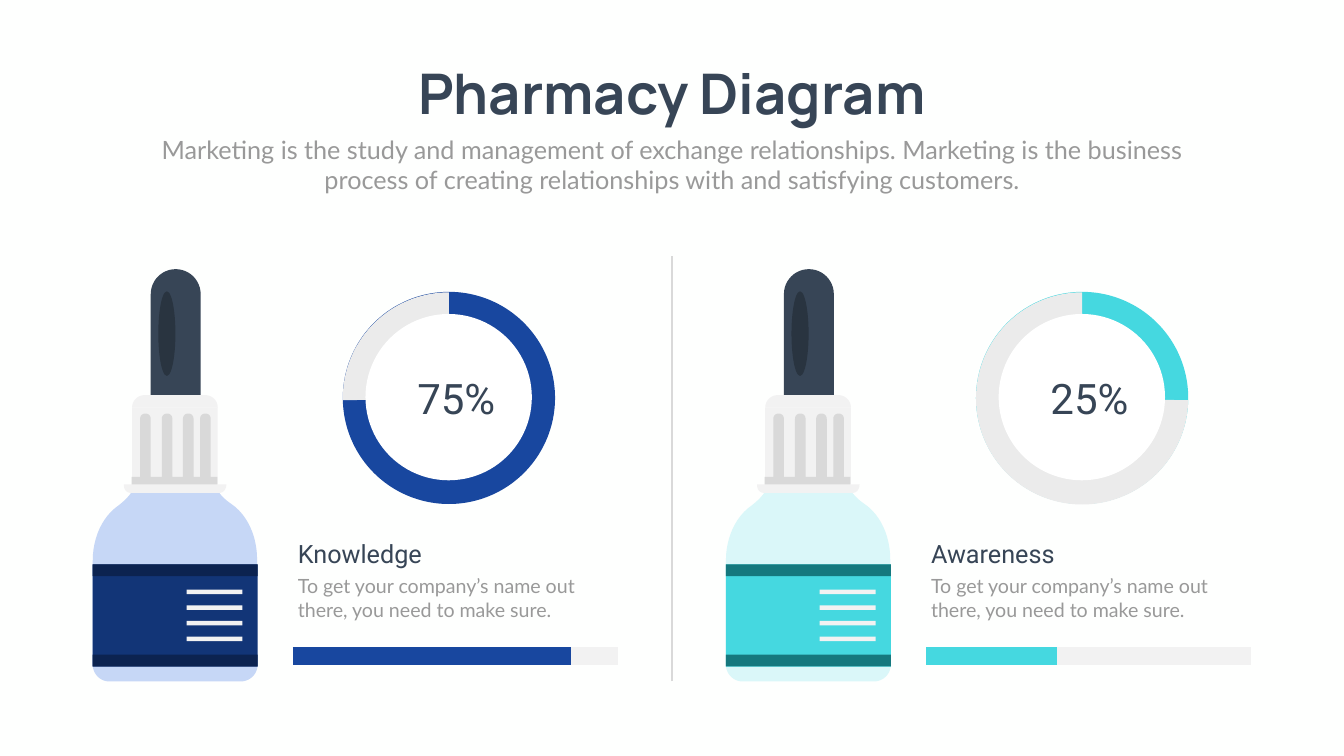
from dataclasses import dataclass

from pptx import Presentation
from pptx.dml.color import RGBColor
from pptx.enum.shapes import MSO_CONNECTOR, MSO_SHAPE
from pptx.enum.text import MSO_AUTO_SIZE, PP_ALIGN
from pptx.oxml.xmlchemy import OxmlElement
from pptx.util import Emu, Pt

PX = 9144  # EMU per px, 100 px to the inch
CURVE_STEPS = 12


@dataclass(frozen=True)
class Theme:
    background: str = "FEFFFE"
    white: str = "FFFFFF"
    ink: str = "374556"
    ink_shade: str = "293440"
    muted: str = "999999"
    pale: str = "F2F2F2"
    track: str = "EBEBEB"
    rule: str = "D9D9D9"
    title_font: str = "Manrope"
    label_font: str = "Roboto"
    body_font: str = "Lato"
    title_size: int = 80
    percent_size: int = 60
    heading_size: int = 36
    body_size: int = 28
    rule_width: int = 2
    bar_width: int = 25


@dataclass(frozen=True)
class Panel:
    left: int
    percent: str
    heading: str
    rest_angle: int  # where the unfilled part of the ring begins, in degrees
    bar_length: int
    accent: str
    glass: str
    label: str
    band: str


class SlideBuilder:
    def __init__(self, slide, theme):
        self.slide = slide
        self.theme = theme
        self.left = 0  # offset of the current panel
        background = slide.background.fill
        background.solid()
        background.fore_color.rgb = RGBColor.from_string(theme.background)

    def paint(self, shape, color):
        shape.shadow.inherit = False
        shape.fill.solid()
        shape.fill.fore_color.rgb = RGBColor.from_string(color)
        shape.line.fill.background()

    def preset(self, kind, x, y, width, height, color, adjustments=()):
        box = [Emu(v * PX) for v in (x + self.left, y, width, height)]
        shape = self.slide.shapes.add_shape(kind, *box)
        for index, value in enumerate(adjustments):
            shape.adjustments[index] = value
        self.paint(shape, color)

    def outline(self, steps, color):
        """Draw a closed outline; pairs are corners, sixes are cubic curves."""
        points = [steps[0]]
        for step in steps[1:]:
            if len(step) == 2:
                points.append(step)
                continue
            x0, y0 = points[-1]
            x1, y1, x2, y2, x3, y3 = step
            for i in range(1, CURVE_STEPS + 1):
                t = i / CURVE_STEPS
                a, b, c, d = (1 - t) ** 3, 3 * t * (1 - t) ** 2, 3 * t * t * (1 - t), t ** 3
                points.append((a * x0 + b * x1 + c * x2 + d * x3,
                               a * y0 + b * y1 + c * y2 + d * y3))
        emu = [(round((x + self.left) * PX), round(y * PX)) for x, y in points]
        builder = self.slide.shapes.build_freeform(*emu[0], scale=1.0)
        builder.add_line_segments(emu[1:], close=True)
        self.paint(builder.convert_to_shape(), color)

    def line(self, x1, y1, x2, y2, color, width):
        ends = [Emu(v * PX) for v in (x1 + self.left, y1, x2 + self.left, y2)]
        connector = self.slide.shapes.add_connector(MSO_CONNECTOR.STRAIGHT, *ends)
        connector.line.color.rgb = RGBColor.from_string(color)
        connector.line.width = Pt(width)
        connector._element.spPr.append(OxmlElement("a:effectLst"))

    def text(self, words, x, y, width, height, *, font, size, color,
             align=PP_ALIGN.LEFT, bold=False, wrap=True):
        box = [Emu(v * PX) for v in (x + self.left, y, width, height)]
        frame = self.slide.shapes.add_textbox(*box).text_frame
        frame.word_wrap = wrap
        frame.auto_size = MSO_AUTO_SIZE.SHAPE_TO_FIT_TEXT
        paragraph = frame.paragraphs[0]
        paragraph.alignment = align
        run = paragraph.add_run()
        run.text = words
        run.font.name = font
        run.font.size = Pt(size)
        run.font.bold = bold
        run.font.color.rgb = RGBColor.from_string(color)

    def bottle(self, panel):
        theme = self.theme
        # Glass body and rounded base
        self.outline([(510, 1110), (510, 1322), (184, 1322), (184, 1112),
                      (184, 1067, 203, 1025, 235, 1003), (244, 996, 253, 988, 260, 978),
                      (435, 978), (442, 987, 450, 994, 459, 1000),
                      (491, 1022, 510, 1064, 510, 1110)], panel.glass)
        self.outline([(184, 1322), (186, 1339, 200, 1352, 216, 1352), (478, 1352),
                      (495, 1352, 509, 1339, 511, 1322)], panel.glass)
        # Cap with its grooves
        self.preset(MSO_SHAPE.RECTANGLE, 262, 809, 170, 152, theme.pale)
        grooves = [(261, 946)]
        for x in (278, 321, 363, 397):
            grooves += [(x, 946), (x, 831), (x, 817, x + 21, 817, x + 21, 831), (x + 21, 946)]
        self.outline(grooves + [(431, 946), (431, 962), (261, 962)], theme.rule)
        # Rubber bulb, cap shoulder and lip
        self.preset(MSO_SHAPE.ROUND_2_SAME_RECTANGLE, 299, 534, 99, 251, theme.ink, (0.5, 0))
        self.outline([(432, 809), (432, 795, 421, 784, 407, 784), (287, 784),
                      (273, 784, 262, 795, 262, 809)], theme.pale)
        self.preset(MSO_SHAPE.OVAL, 314, 578, 34, 168, theme.ink_shade)
        self.outline([(246, 961), (245, 970, 250, 978, 260, 978), (435, 978),
                      (443, 978, 449, 971, 449, 961)], theme.pale)
        # Label with bands and writing
        self.preset(MSO_SHAPE.RECTANGLE, 184, 1120, 327, 203, panel.label)
        for y in (1120, 1299):
            self.preset(MSO_SHAPE.RECTANGLE, 184, y, 327, 23, panel.band)
        for row in range(4):
            self.preset(MSO_SHAPE.RECTANGLE, 370, 1170 + 31 * row, 111, 9, theme.pale)

    def ring(self, panel):
        theme = self.theme
        self.preset(MSO_SHAPE.OVAL, 680, 579, 421, 421, panel.accent)
        # Pie angles are in 60000ths of a degree, adjustments in 100000ths
        self.preset(MSO_SHAPE.PIE, 680, 580, 421, 421, theme.track,
                    (panel.rest_angle * 0.6, 270 * 0.6))
        self.preset(MSO_SHAPE.OVAL, 725, 623, 330, 330, theme.white)
        self.text(panel.percent, 724, 735, 362, 111, font=theme.label_font,
                  size=theme.percent_size, color=theme.ink, align=PP_ALIGN.CENTER)

    def progress(self, panel):
        theme = self.theme
        for length, color in ((645, theme.pale), (panel.bar_length, panel.accent)):
            self.line(581, 1302, 581 + length, 1302, color, theme.bar_width)

    def panel(self, panel):
        theme = self.theme
        self.left = panel.left
        self.ring(panel)
        self.bottle(panel)
        self.progress(panel)
        self.text("To get your company’s name out there, you need to make sure.",
                  581, 1134, 619, 104, font=theme.body_font, size=theme.body_size,
                  color=theme.muted)
        self.text(panel.heading, 581, 1063, 326, 71, font=theme.label_font,
                  size=theme.heading_size, color=theme.ink)
        self.left = 0


def main():
    deck = Presentation()
    deck.slide_width, deck.slide_height = Emu(2666 * PX), Emu(1500 * PX)
    theme = Theme()
    builder = SlideBuilder(deck.slides.add_slide(deck.slide_layouts[6]), theme)

    # Heading
    builder.text("Pharmacy Diagram", 754, 112, 1158, 145, font=theme.title_font,
                 size=theme.title_size, color=theme.ink, align=PP_ALIGN.CENTER,
                 bold=True, wrap=False)
    builder.text("Marketing is the study and management of exchange relationships. "
                 "Marketing is the business process of creating relationships with "
                 "and satisfying customers.", 292, 261, 2082, 131, font=theme.body_font,
                 size=theme.heading_size, color=theme.muted, align=PP_ALIGN.CENTER)

    # Divider and the two panels
    builder.line(1333, 1352, 1333, 507, theme.rule, theme.rule_width)
    builder.panel(Panel(0, "75%", "Knowledge", 179, 551,
                        accent="18479F", glass="C6D7F6", label="123577", band="0C2350"))
    builder.panel(Panel(1256, "25%", "Awareness", 1, 260,
                        accent="45D8E0", glass="DAF7F9", label="45D8E0", band="15787E"))
    deck.save("out.pptx")


if __name__ == "__main__":
    main()
